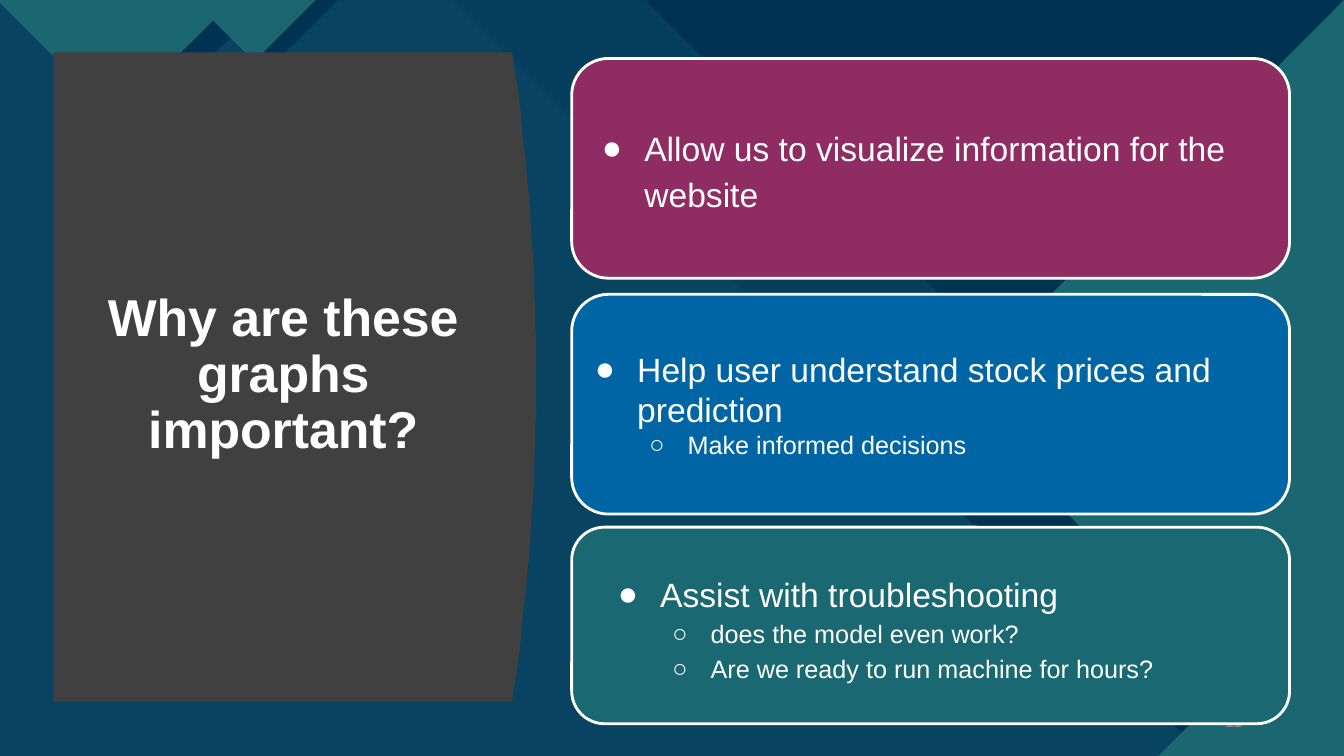
"""Builds a slide on why graphs matter: a title panel beside three cards."""
from dataclasses import dataclass

import pptx
import pptx.dml.color
import pptx.enum.shapes
import pptx.enum.text
import pptx.oxml.ns
import pptx.oxml.xmlchemy
import pptx.util

TITLE = "Why are these graphs important?"
PAGE = "11"


@dataclass(frozen=True)
class Theme:
    font: str = "Arial"
    base: str = "0C4360"
    navy: str = "003252"
    teal: str = "1B6771"
    aqua: str = "47C3D3"
    panel: str = "404040"
    white: str = "FFFFFF"
    grey: str = "888888"
    title_size: int = 37
    page_size: int = 12
    level_sizes: tuple = (24, 18)
    outline: int = 2


THEME = Theme()
COLUMNS, ROWS = 1333, 750
CELL = pptx.util.Inches(0.01)
CARD_LEFT, CARD_WIDTH = 567, 712
LEVEL_INDENTS = ((0.5, -0.42), (1, -0.38))
LEVEL_BULLETS = ("●", "○")

CARDS = [
    dict(fill="8F2D63", top=58, height=218, shift=7, width=698, inset=11, margin=15, spacing=1.15,
         points=[(0, "Allow us to visualize information for the website")]),
    dict(fill="0065A4", top=292, height=218, shift=0, width=698, inset=11, margin=15, spacing=1,
         points=[(0, "Help user understand stock prices and prediction"),
                 (1, "Make informed decisions")]),
    dict(fill="1A6871", top=523, height=195, shift=28, width=646, inset=22, margin=10, spacing=1.15,
         points=[(0, "Assist with troubleshooting"),
                 (1, "does the model even work?"),
                 (1, "Are we ready to run machine for hours?")]),
]


def band(start):
    """Outline of a full-height band with a stepped diagonal right edge."""
    step = 297
    shelf = start + step + 126
    return [(0, 0), (start, 0), (start + step, step), (shelf, step),
            (COLUMNS, min(ROWS, step + COLUMNS - shelf)), (COLUMNS, ROWS), (0, ROWS)]


def peak(left, right):
    """Outline of a right-angled triangle hanging from the top edge."""
    half = (right - left) // 2
    return [(left, 0), (right, 0), (left + half, half)]


BACKDROP = [
    (band(826), THEME.aqua, 72),
    (band(449), THEME.aqua, 100),
    ([(640, 0), (COLUMNS, 0), (COLUMNS, 693)], THEME.navy, 100),
    (band(695), THEME.navy, 88),
    ([(COLUMNS, 68), (COLUMNS, ROWS), (1195, ROWS), (923, 478)], THEME.navy, 100),
    ([(COLUMNS, 0), (COLUMNS, ROWS), (1299, ROWS), (942, 393)], THEME.teal, 100),
    ([(COLUMNS, 566), (COLUMNS, ROWS), (1149, ROWS)], THEME.teal, 100),
    (peak(29, 266), THEME.navy, 100),
    (peak(-3, 232), THEME.teal, 100),
    (peak(209, 335), THEME.navy, 100),
    (peak(191, 313), THEME.teal, 100),
]


def panel_outline():
    """Outline of the title panel, whose right edge bulges as a parabola."""
    left, edge, top, bottom, bulge, steps = 53, 508, 52, 696, 24, 40
    arc = [(round(edge + bulge * (1 - (2 * i / steps - 1) ** 2)),
            round(top + (bottom - top) * i / steps)) for i in range(steps + 1)]
    return [(left, top), *arc, (left, bottom)]


def rgb(value):
    return pptx.dml.color.RGBColor.from_string(value)


def element(tag, **attributes):
    node = pptx.oxml.xmlchemy.OxmlElement(tag)
    for key, value in attributes.items():
        node.set(key, value)
    return node


def paint(shape, color):
    shape.shadow.inherit = False
    shape.fill.solid()
    shape.fill.fore_color.rgb = rgb(color)


def add_outline(slide, points, color, opacity=100):
    builder = slide.shapes.build_freeform(*points[0], scale=CELL)
    builder.add_line_segments(points[1:], close=True)
    outline = builder.convert_to_shape()
    paint(outline, color)
    outline.line.fill.background()
    if opacity < 100:
        tint = outline.fill._xPr.find(".//" + pptx.oxml.ns.qn("a:srgbClr"))
        tint.append(element("a:alpha", val=str(opacity * 1000)))


def add_frame(slide, left, top, width, height, side=10, edge=5):
    box = slide.shapes.add_textbox(left * CELL, top * CELL, width * CELL, height * CELL)
    frame = box.text_frame
    frame.word_wrap = True
    frame.vertical_anchor = pptx.enum.text.MSO_ANCHOR.MIDDLE
    frame.margin_left = frame.margin_right = side * CELL
    frame.margin_top = frame.margin_bottom = edge * CELL
    return frame


def write(paragraph, words, size, color, bold=False):
    paragraph.text = words
    font = paragraph.runs[0].font
    font.name, font.size, font.bold = THEME.font, pptx.util.Pt(size), bold
    font.color.rgb = rgb(color)


def add_bullet(paragraph, level):
    indent, hanging = LEVEL_INDENTS[level]
    paragraph.level = level
    properties = paragraph._p.get_or_add_pPr()
    properties.set("marL", str(pptx.util.Inches(indent)))
    properties.set("indent", str(pptx.util.Inches(hanging)))
    tint = element("a:buClr")
    tint.append(element("a:srgbClr", val=THEME.white))
    properties.extend([tint, element("a:buFont", typeface=THEME.font),
                       element("a:buChar", char=LEVEL_BULLETS[level])])


def add_card(slide, card):
    top, height, inset = card["top"], card["height"], card["inset"]
    body = slide.shapes.add_shape(
        pptx.enum.shapes.MSO_SHAPE.ROUNDED_RECTANGLE,
        CARD_LEFT * CELL, top * CELL, CARD_WIDTH * CELL, height * CELL)
    paint(body, card["fill"])
    body.line.color.rgb = rgb(THEME.white)
    body.line.width = pptx.util.Pt(THEME.outline)
    frame = add_frame(slide, CARD_LEFT + card["shift"], top + inset, card["width"],
                      height - 2 * inset, card["margin"], card["margin"])
    for index, (level, words) in enumerate(card["points"]):
        point = frame.add_paragraph() if index else frame.paragraphs[0]
        write(point, words, THEME.level_sizes[level], THEME.white)
        point.line_spacing = float(card["spacing"])
        add_bullet(point, level)


def main():
    deck = pptx.Presentation()
    deck.slide_width, deck.slide_height = COLUMNS * CELL, ROWS * CELL
    slide = deck.slides.add_slide(deck.slide_layouts[6])
    slide.background.fill.solid()
    slide.background.fill.fore_color.rgb = rgb(THEME.base)
    for points, color, opacity in BACKDROP:
        add_outline(slide, points, color, opacity)
    add_outline(slide, panel_outline(), THEME.panel)

    title = add_frame(slide, 94, 111, 374, 524).paragraphs[0]
    write(title, TITLE, THEME.title_size, THEME.white, bold=True)
    title.alignment = pptx.enum.text.PP_ALIGN.CENTER
    title.line_spacing = 0.9

    page = add_frame(slide, 1173, 695, 69, 40).paragraphs[0]
    write(page, PAGE, THEME.page_size, THEME.grey)
    page.alignment = pptx.enum.text.PP_ALIGN.RIGHT
    page.space_after = pptx.util.Pt(6)

    for card in CARDS:
        add_card(slide, card)
    deck.save("out.pptx")


if __name__ == "__main__":
    main()
